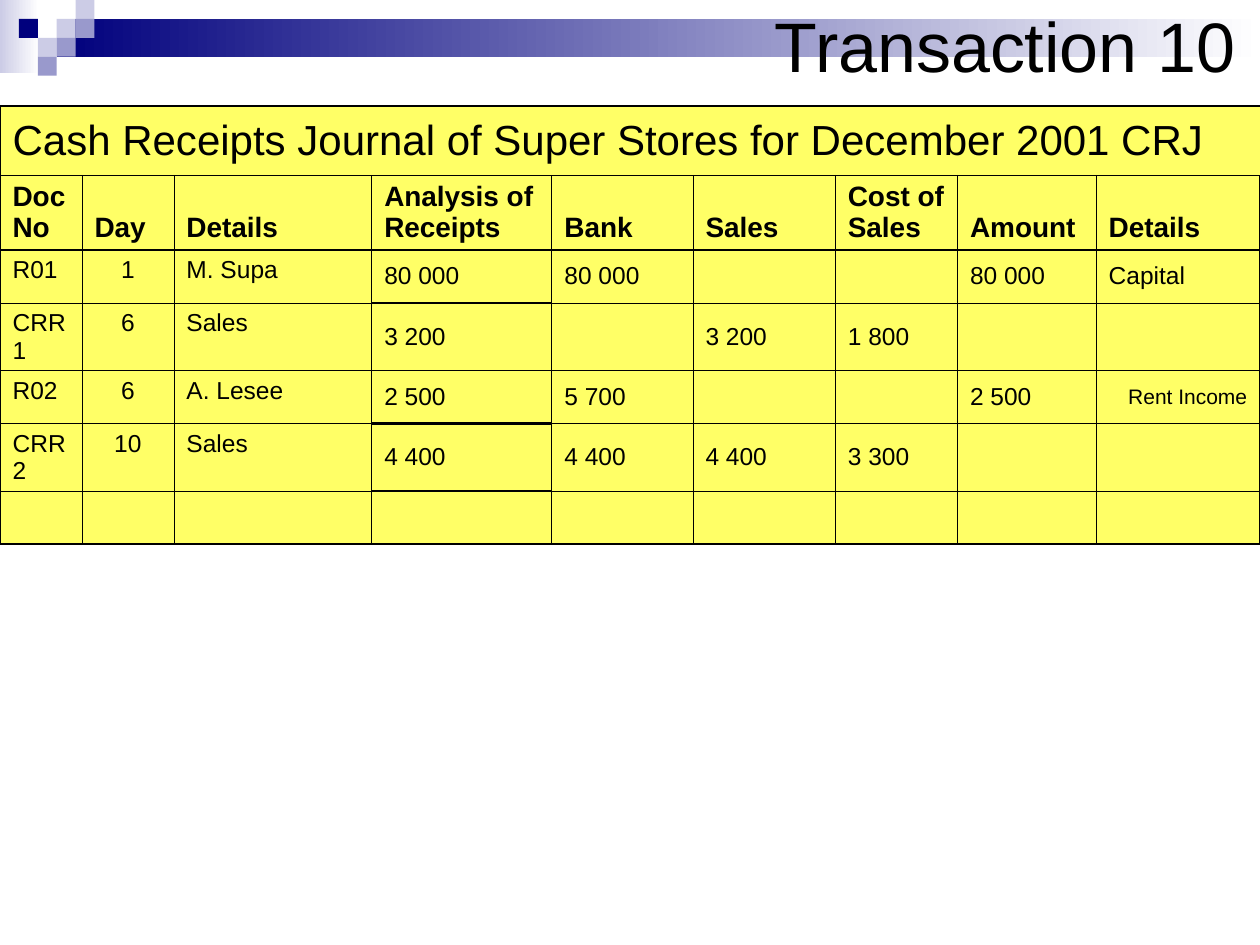
import pptx
import pptx.dml.color
import pptx.enum.shapes
import pptx.enum.text
import pptx.oxml
import pptx.oxml.ns
import pptx.util
from pptx.util import Inches

ANCHOR = pptx.enum.text.MSO_ANCHOR
ALIGN = pptx.enum.text.PP_ALIGN
NAVY, LILAC, VIOLET = "00007D", "CCCCE6", "9999CC"
WHITE, BLACK, YELLOW = "FFFFFF", "000000", "FFFF66"
THIN, OUTER, THICK = 0.45, 1.08, 1.47
COLUMN_WIDTHS = [0.65, 0.73, 1.57, 1.43, 1.12, 1.13, 0.97, 1.1, 1.3]
ROW_HEIGHTS = [0.55, 0.59] + [0.42] * 5
ANALYSIS_COLUMN = 3
RULED_ROWS = (2, 4, 5)
JOURNAL = [
    ["Cash Receipts Journal of Super Stores for December 2001 CRJ"] + [""] * 8,
    ["Doc No", "Day", "Details", "Analysis of Receipts", "Bank", "Sales",
     "Cost of Sales", "Amount", "Details"],
    ["R01", "1", "M. Supa", "80 000", "80 000", "", "", "80 000", "Capital"],
    ["CRR1", "6", "Sales", "3 200", "", "3 200", "1 800", "", ""],
    ["R02", "6", "A. Lesee", "2 500", "5 700", "", "", "2 500", "Rent Income"],
    ["CRR2", "10", "Sales", "4 400", "4 400", "4 400", "3 300", "", ""],
    [""] * 9,
]


def color(value):
    """Turn a hex string into a colour."""
    return pptx.dml.color.RGBColor.from_string(value)


def set_font(para, size, bold=False):
    """Set the shared typeface on a paragraph."""
    para.font.name = "Arial"
    para.font.size = pptx.util.Pt(size)
    para.font.bold = bold
    para.font.color.rgb = color(BLACK)


def add_block(page, left, top, width, height, start, end=None):
    """Add a plain rectangle, shaded from left to right if an end colour is given."""
    block = page.shapes.add_shape(
        pptx.enum.shapes.MSO_SHAPE.RECTANGLE,
        Inches(left), Inches(top), Inches(width), Inches(height))
    block.shadow.inherit = False
    block.line.fill.background()
    if end is None:
        block.fill.solid()
        block.fill.fore_color.rgb = color(start)
        return
    block.fill.gradient()
    block.fill.gradient_angle = 0
    for stop, shade in zip(block.fill.gradient_stops, (start, end)):
        stop.color.rgb = color(shade)


def add_banner(page, left, top, width):
    """Add the shaded bar and the mosaic of small squares."""
    side = 0.15
    add_block(page, left, top, 0.31, 0.58, LILAC, WHITE)
    add_block(page, left + 3 * side, top + side, width - 3 * side, 2 * side, NAVY, WHITE)
    mosaic = [(3, 1, LILAC), (4, 0, LILAC), (4, 1, VIOLET), (2, 2, LILAC),
              (1, 1, NAVY), (3, 2, VIOLET), (2, 3, VIOLET)]
    for column, row, shade in mosaic:
        add_block(page, left + column * side, top + row * side, side, side, shade)


def add_title(page, left, top, width, height):
    """Place the title in front of the banner."""
    title = page.shapes.title
    title.left, title.top = Inches(left), Inches(top)
    title.width, title.height = Inches(width), Inches(height)
    page.shapes._spTree.append(title._element)
    frame = title.text_frame
    frame.text = "Transaction 10"
    frame.auto_size = pptx.enum.text.MSO_AUTO_SIZE.NONE
    frame.vertical_anchor = ANCHOR.MIDDLE
    frame.paragraphs[0].alignment = ALIGN.LEFT
    set_font(frame.paragraphs[0], 40)


def rule_below(row, column):
    """Give the line width under a cell; row -1 is the top edge."""
    if row in (-1, len(JOURNAL) - 1):
        return OUTER
    if row == 1 or (column == ANALYSIS_COLUMN and row in RULED_ROWS):
        return THICK
    return THIN


def set_borders(cell, row, column):
    """Draw the four edges of a cell."""
    edges = {
        "L": OUTER if column == 0 else THIN,
        "R": OUTER if column == len(COLUMN_WIDTHS) - 1 else THIN,
        "T": rule_below(row - 1, column) if row else OUTER,
        "B": rule_below(row, column),
    }
    properties = cell._tc.get_or_add_tcPr()
    for side, width in edges.items():
        properties.append(pptx.oxml.parse_xml(
            f'<a:ln{side} {pptx.oxml.ns.nsdecls("a")} w="{pptx.util.Pt(width)}">'
            f'<a:solidFill><a:srgbClr val="{BLACK}"/></a:solidFill></a:ln{side}>'))


def format_cell(cell, row, column):
    """Fill one journal cell and set its text style."""
    set_borders(cell, row, column)
    cell.fill.solid()
    cell.fill.fore_color.rgb = color(YELLOW)
    text = JOURNAL[row][column]
    if not text:
        return
    cell.text = text
    para = cell.text_frame.paragraphs[0]
    if row == 0:
        cell.vertical_anchor = ANCHOR.MIDDLE
        set_font(para, 24)
    elif row == 1:
        cell.vertical_anchor = ANCHOR.BOTTOM if column else ANCHOR.TOP
        set_font(para, 16, bold=True)
    else:
        cell.vertical_anchor = ANCHOR.TOP if column < ANALYSIS_COLUMN else ANCHOR.MIDDLE
        rent = text == "Rent Income"
        set_font(para, 12 if rent else 14)
        if rent:
            para.alignment = ALIGN.RIGHT
        elif column == 1:
            para.alignment = ALIGN.CENTER


def add_journal(page, left, top, width, height):
    """Add the cash receipts journal table."""
    table = page.shapes.add_table(
        len(ROW_HEIGHTS), len(COLUMN_WIDTHS),
        Inches(left), Inches(top), Inches(width), Inches(height)).table
    for column, size in zip(table.columns, COLUMN_WIDTHS):
        column.width = Inches(size * width / sum(COLUMN_WIDTHS))
    for row, size in zip(table.rows, ROW_HEIGHTS):
        row.height = Inches(size * height / sum(ROW_HEIGHTS))
    table.cell(0, 0).merge(table.cell(0, len(COLUMN_WIDTHS) - 1))
    for row in range(len(ROW_HEIGHTS)):
        for column in range(len(COLUMN_WIDTHS)):
            format_cell(table.cell(row, column), row, column)


def main():
    """Build the slide and save the deck."""
    deck = pptx.Presentation()
    deck.slide_width, deck.slide_height = Inches(10), Inches(7.5)
    page = deck.slides.add_slide(deck.slide_layouts[5])
    add_banner(page, 0, 0, 10)
    add_title(page, 6.05, 0, 3.95, 0.71)
    add_journal(page, 0, 0.84, 10, 3.24)
    deck.save("out.pptx")


if __name__ == "__main__":
    main()
